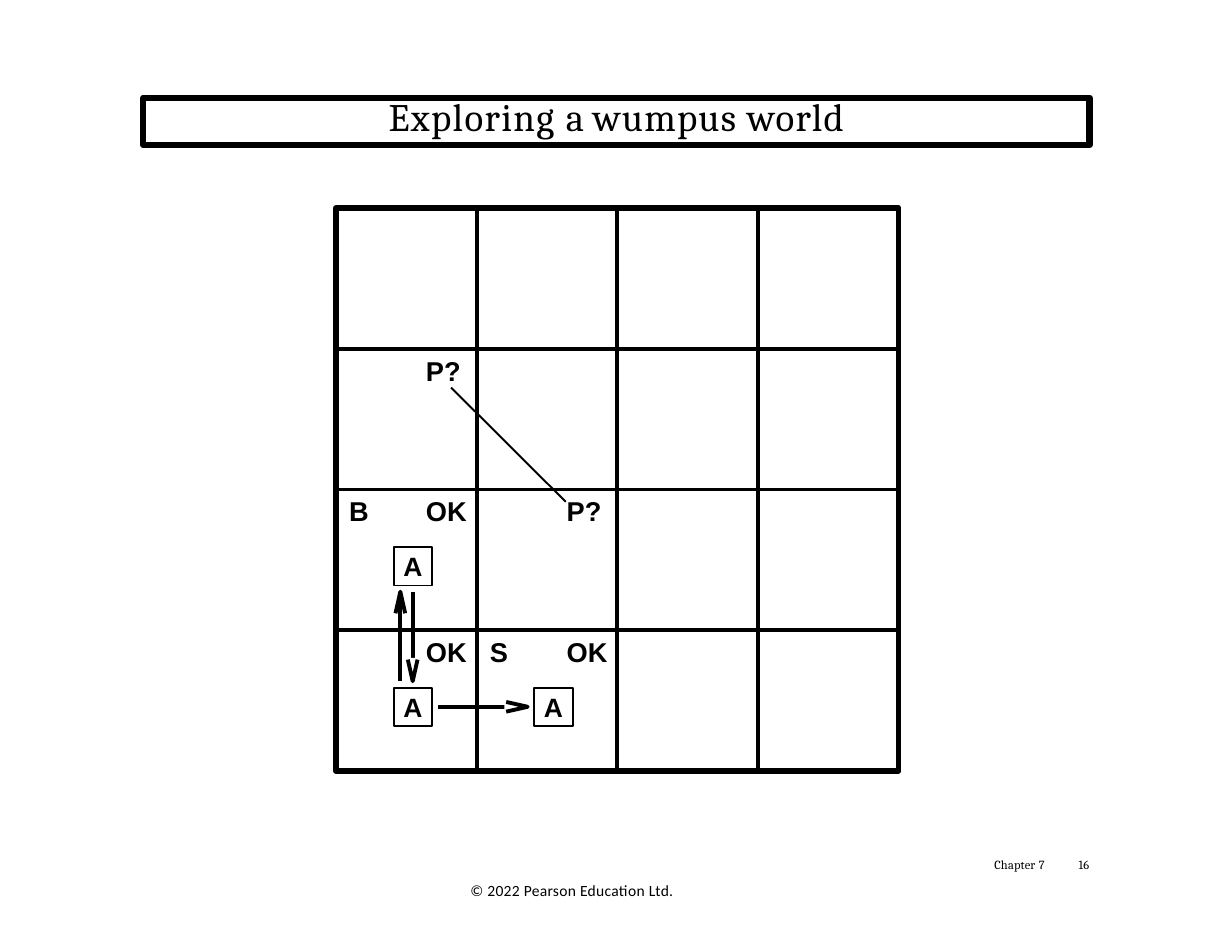
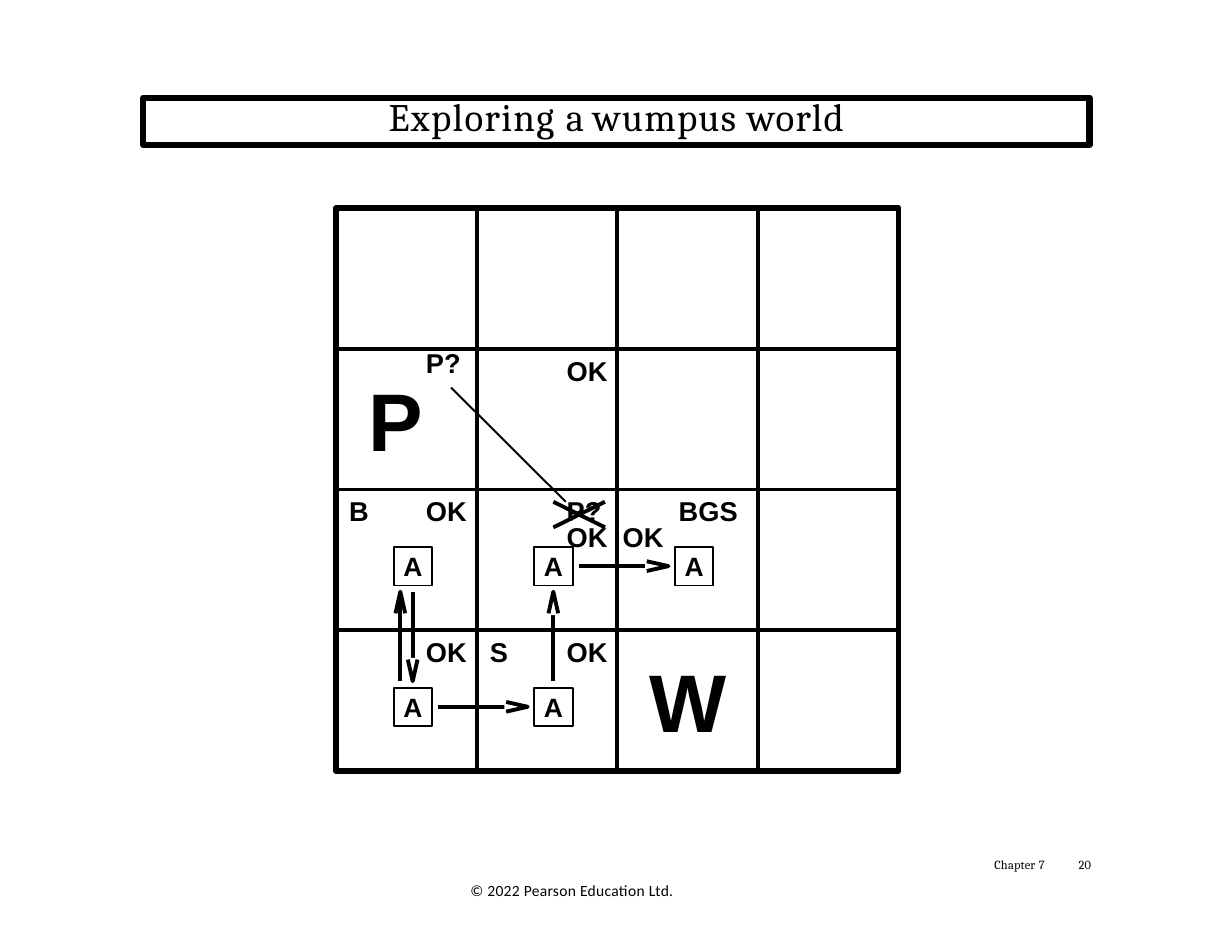
from lxml.etree import SubElement
from pptx import Presentation
from pptx.dml.color import RGBColor
from pptx.enum.shapes import MSO_CONNECTOR, MSO_SHAPE
from pptx.enum.text import MSO_ANCHOR, MSO_AUTO_SIZE, PP_ALIGN
from pptx.oxml.ns import qn
from pptx.util import Cm, Pt

BLACK = RGBColor(0x00, 0x00, 0x00)
WHITE = RGBColor(0xFF, 0xFF, 0xFF)

# Cave grid, in centimetres; columns and rows count from the top left
GRID_LEFT, GRID_TOP, CELL, CELLS = 7.62, 4.72, 3.19, 4
AGENT_SIZE, AGENT_OFFSET = 0.87, 1.31
AGENT_CENTRE = 1.74
ARROW_GAP = 0.58

# Places of the small labels inside a cell: left, top
LEFT, RIGHT = (0.3, 0.12), (2.04, 0.12)
RIGHT_RAISED = (2.04, -0.05)
RIGHT_LOW, LEFT_LOW = (2.04, 0.71), (0.12, 0.71)
MIDDLE, BIG = (1.39, 0.12), (0.73, 0.48)
SMALL_SIZE, BIG_SIZE = 17.5, 52.5

# Arrow parts as (distance past the end of the line, distance to its side)
HEAD_MASK = [(-0.53, -0.17), (0.2, 0), (-0.53, 0.17)]
HEAD = [(-0.49, -0.11), (0, 0), (-0.49, 0.11)]

TITLE_RUNS = [("Exploring ", 0.9), ("a ", 0), ("wumpus world", 0.8)]

# Labels: text, column, row, place, size
shared_labels = [
    ("B", 0, 2, LEFT, SMALL_SIZE),
    ("OK", 0, 2, RIGHT, SMALL_SIZE),
    ("OK", 0, 3, RIGHT, SMALL_SIZE),
    ("S", 1, 3, LEFT, SMALL_SIZE),
    ("OK", 1, 3, RIGHT, SMALL_SIZE),
    ("P?", 1, 2, RIGHT, SMALL_SIZE),
]
# Moves: start cell, end cell, sideways shift of the arrow, masked head
shared_moves = [
    ((0, 3), (0, 2), -0.28, False),
    ((0, 2), (0, 3), 0, True),
    ((0, 3), (1, 3), 0, True),
]
shared_agents = [(0, 2), (0, 3), (1, 3)]

steps = [
    {
        "number": "16",
        "labels": [("P?", 0, 1, RIGHT, SMALL_SIZE)],
        "agents": [],
        "moves": [],
        "pit_ruled_out": False,
    },
    {
        "number": "20",
        "labels": [
            ("P?", 0, 1, RIGHT_RAISED, SMALL_SIZE),
            ("P", 0, 1, BIG, BIG_SIZE),
            ("OK", 1, 1, RIGHT, SMALL_SIZE),
            ("OK", 1, 2, RIGHT_LOW, SMALL_SIZE),
            ("OK", 2, 2, LEFT_LOW, SMALL_SIZE),
            ("BGS", 2, 2, MIDDLE, SMALL_SIZE),
            ("W", 2, 3, BIG, BIG_SIZE),
        ],
        "agents": [(1, 2), (2, 2)],
        "moves": [((1, 3), (1, 2), 0, True), ((1, 2), (2, 2), 0, True)],
        "pit_ruled_out": True,
    },
]


def write(shape, runs, font_name, size, bold=False, line_spacing=None,
          align=PP_ALIGN.LEFT, anchor=MSO_ANCHOR.TOP):
    """Fill a shape with one paragraph of (text, letter spacing in points) runs."""
    frame = shape.text_frame
    frame.word_wrap = True
    frame.auto_size = MSO_AUTO_SIZE.NONE
    frame.vertical_anchor = anchor
    frame.margin_left = frame.margin_right = 0
    frame.margin_top = frame.margin_bottom = 0
    paragraph = frame.paragraphs[0]
    paragraph.alignment = align
    if line_spacing:
        paragraph.line_spacing = Pt(line_spacing)
    for text, spacing in runs:
        run = paragraph.add_run()
        run.text = text
        run.font.name = font_name
        run.font.size = Pt(size)
        run.font.bold = bold
        run.font.color.rgb = BLACK
        run.font._element.set("spc", str(round(spacing * 100)))
        run.font._element.set("kern", "0")


def add_line(slide, x1, y1, x2, y2, width=2.5):
    line = slide.shapes.add_connector(
        MSO_CONNECTOR.STRAIGHT, Cm(x1), Cm(y1), Cm(x2), Cm(y2))
    line.line.color.rgb = BLACK
    line.line.width = Pt(width)
    SubElement(line._element.spPr, qn("a:effectLst"))


presentation = Presentation()
presentation.slide_width, presentation.slide_height = Cm(27.94), Cm(21.59)
title_only = presentation.slide_layouts[5]

for step in steps:
    slide = presentation.slides.add_slide(title_only)
    shapes = slide.shapes

    title = shapes.title
    title.left, title.top = Cm(3.25), Cm(2.22)
    title.width, title.height = Cm(21.46), Cm(1.07)
    title.line.color.rgb = BLACK
    title.line.width = Pt(4.08)
    write(title, TITLE_RUNS, "Cambria", 25, line_spacing=26.4,
          align=PP_ALIGN.CENTER)

    # Grid
    grid_size = CELL * CELLS
    grid_right, grid_bottom = GRID_LEFT + grid_size, GRID_TOP + grid_size
    for index in range(1, CELLS):
        x, y = GRID_LEFT + index * CELL, GRID_TOP + index * CELL
        add_line(slide, x, GRID_TOP, x, grid_bottom)
        add_line(slide, GRID_LEFT, y, grid_right, y)

    # Moves from agent to agent
    for (column, row), (end_column, end_row), shift, masked in (
            shared_moves + step["moves"]):
        x = GRID_LEFT + column * CELL + AGENT_CENTRE + shift
        y = GRID_TOP + row * CELL + AGENT_CENTRE
        across, down = end_column - column, end_row - row
        end_x = x + across * (CELL - ARROW_GAP)
        end_y = y + down * (CELL - ARROW_GAP)
        add_line(slide, x + across * ARROW_GAP, y + down * ARROW_GAP, end_x, end_y)
        for outline in [HEAD_MASK, HEAD] if masked else [HEAD]:
            points = [(Cm(end_x + across * ahead - down * aside),
                       Cm(end_y + down * ahead + across * aside))
                      for ahead, aside in outline]
            builder = shapes.build_freeform(*points[0])
            builder.add_line_segments(points[1:], close=outline is HEAD_MASK)
            head = builder.convert_to_shape()
            head.shadow.inherit = False
            if outline is HEAD_MASK:
                head.fill.solid()
                head.fill.fore_color.rgb = WHITE
                head.line.fill.background()
            else:
                head.fill.background()
                head.line.color.rgb = BLACK
                head.line.width = Pt(2.5)

    # Grid border and agents
    squares = [(GRID_LEFT, GRID_TOP, grid_size, 3.77, "")]
    for column, row in shared_agents + step["agents"]:
        squares.append((GRID_LEFT + column * CELL + AGENT_OFFSET,
                        GRID_TOP + row * CELL + AGENT_OFFSET,
                        AGENT_SIZE, 1.25, "A"))
    for x, y, side, line_width, text in squares:
        square = shapes.add_shape(
            MSO_SHAPE.RECTANGLE, Cm(x), Cm(y), Cm(side), Cm(side))
        square.shadow.inherit = False
        square.fill.background()
        square.line.color.rgb = BLACK
        square.line.width = Pt(line_width)
        if text:
            write(square, [(text, 0.1)], "Arial", 17, bold=True,
                  align=PP_ALIGN.CENTER, anchor=MSO_ANCHOR.MIDDLE)

    # Percepts and conclusions
    for text, column, row, (dx, dy), size in shared_labels + step["labels"]:
        scale = size / SMALL_SIZE
        label = shapes.add_textbox(
            Cm(GRID_LEFT + column * CELL + dx), Cm(GRID_TOP + row * CELL + dy),
            Cm(0.55 * len(text) * scale), Cm(0.75 * scale))
        write(label, [(text, 0.1)], "Arial", size, bold=True)

    # Line between the two possible pits
    add_line(slide, 10.23, 8.79, 12.83, 11.38, width=1.25)
    if step["pit_ruled_out"]:
        for start_y, end_y in [(11.38, 11.96), (11.96, 11.38)]:
            add_line(slide, 12.55, start_y, 13.72, end_y)

    # Footer
    footers = [
        (22.55, 19.48, 1.4, 0.36, [("Chapter", 0.1), (" 7", 0.2)], "Cambria", 8, 8.6),
        (24.46, 19.48, 0.5, 0.36, [(step["number"], 0.2)], "Cambria", 8, 8.6),
        (10.67, 19.98, 9, 0.6, [("© 2022 Pearson Education Ltd.", 0.2)],
         "Calibri", 10, None),
    ]
    for x, y, width, height, runs, font_name, size, line_spacing in footers:
        footer = shapes.add_textbox(Cm(x), Cm(y), Cm(width), Cm(height))
        write(footer, runs, font_name, size, line_spacing=line_spacing)

presentation.save("out.pptx")
